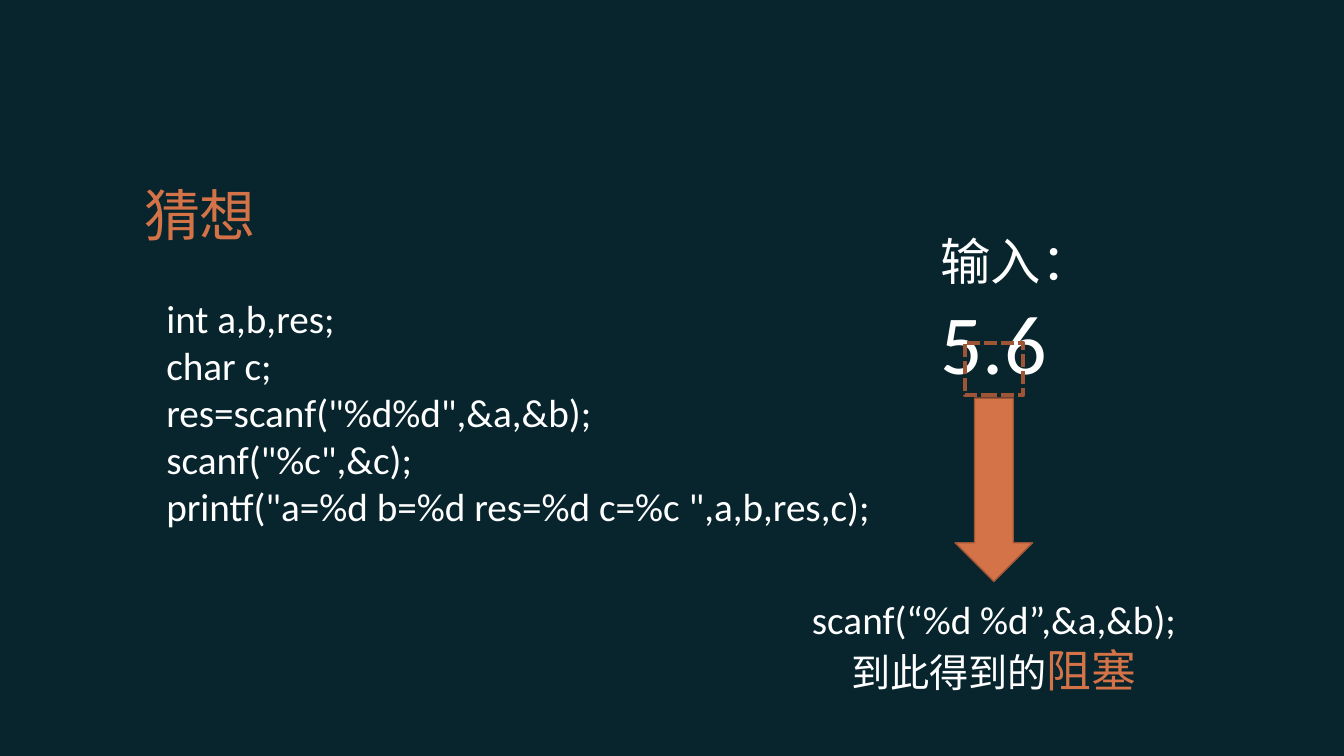
from lxml import etree
from pptx import Presentation
from pptx.dml.color import RGBColor
from pptx.enum import dml, shapes, text
from pptx.oxml import ns
from pptx.util import Pt

NIGHT = RGBColor(0x08, 0x25, 0x2D)
ORANGE = RGBColor(0xD4, 0x73, 0x48)
RUST = RGBColor(0x9D, 0x55, 0x35)
WHITE = RGBColor(0xFF, 0xFF, 0xFF)
LATIN, HAN = "Calibri", "Noto Sans CJK SC"

CODE_LINES = (
    "int a,b,res;",
    "char c;",
    'res=scanf("%d%d",&a,&b);',
    'scanf("%c",&c);',
    'printf("a=%d b=%d res=%d c=%c ",a,b,res,c);',
)


def style(size, color=WHITE, name=LATIN):
    """Return the format values of a run."""
    return {"size": Pt(size), "name": name, "color": color}


def add_text(slide, box, paragraphs, wrap=True, align=text.PP_ALIGN.LEFT, inset=7.2):
    """Write paragraphs, each a list of (words, format) runs, into a text box."""
    frame = slide.shapes.add_textbox(*map(Pt, box)).text_frame
    frame.word_wrap = wrap
    frame.margin_left = Pt(inset)
    for index, runs in enumerate(paragraphs):
        paragraph = frame.paragraphs[0] if index == 0 else frame.add_paragraph()
        paragraph.alignment = align
        for words, values in runs:
            run = paragraph.add_run()
            run.text = words
            for key, value in values.items():
                if key == "color":
                    run.font.color.rgb = value
                else:
                    setattr(run.font, key, value)
            east_asian = etree.SubElement(run.font._element, ns.qn("a:ea"))
            east_asian.set("typeface", HAN)


def add_heading(slide, box):
    """Write the slide heading."""
    add_text(slide, box, [[("猜想", style(40, ORANGE, HAN))]])


def add_code(slide, box):
    """Write the C listing, indented by one inch."""
    add_text(slide, box, [[(line, style(28))] for line in CODE_LINES], inset=79.2)


def add_input(slide, box):
    """Write the typed input and frame its decimal point."""
    left, top, _, _ = box
    add_text(slide, box, [[("输入：", style(36))], [("5.6", style(60))]])
    point_frame = slide.shapes.add_shape(
        shapes.MSO_SHAPE.RECTANGLE, Pt(left + 24.5), Pt(top + 84.2), Pt(41.8), Pt(37.4))
    point_frame.shadow.inherit = False
    point_frame.fill.background()
    point_frame.line.color.rgb = RUST
    point_frame.line.width = Pt(3)
    point_frame.line.dash_style = dml.MSO_LINE.SQUARE_DOT
    point_frame.line._ln.find(ns.qn("a:prstDash")).set("val", "sysDash")


def add_result(slide, box):
    """Draw the arrow down from the input and the conclusion below it."""
    left, top, width, height = box
    arrow_width, arrow_height, caption_top = 55.4, 131, 137.5
    arrow = slide.shapes.add_shape(
        shapes.MSO_SHAPE.DOWN_ARROW, Pt(left + (width - arrow_width) / 2), Pt(top),
        Pt(arrow_width), Pt(arrow_height))
    arrow.shadow.inherit = False
    arrow.fill.solid()
    arrow.fill.fore_color.rgb = ORANGE
    arrow.line.color.rgb = RUST
    arrow.line.width = Pt(1)
    conclusion = [
        [("scanf(“%d %d”,&a,&b);", style(28))],
        [("到此得到的", style(28)), ("阻塞", style(32, ORANGE, HAN))],
    ]
    add_text(slide, (left, top + caption_top, width, height - caption_top),
             conclusion, wrap=False, align=text.PP_ALIGN.CENTER)


def main():
    """Build the slide and save it."""
    deck = Presentation()
    deck.slide_width, deck.slide_height = Pt(960), Pt(540)
    slide = deck.slides.add_slide(deck.slide_layouts[6])
    slide.background.fill.solid()
    slide.background.fill.fore_color.rgb = NIGHT
    add_heading(slide, (95.8, 125.3, 814.3, 55.4))
    add_input(slide, (664.6, 160.6, 141.1, 123.8))
    add_code(slide, (39.6, 206.6, 681.1, 177.1))
    add_result(slide, (571, 284.4, 277.9, 217.4))
    deck.save("out.pptx")


if __name__ == "__main__":
    main()
